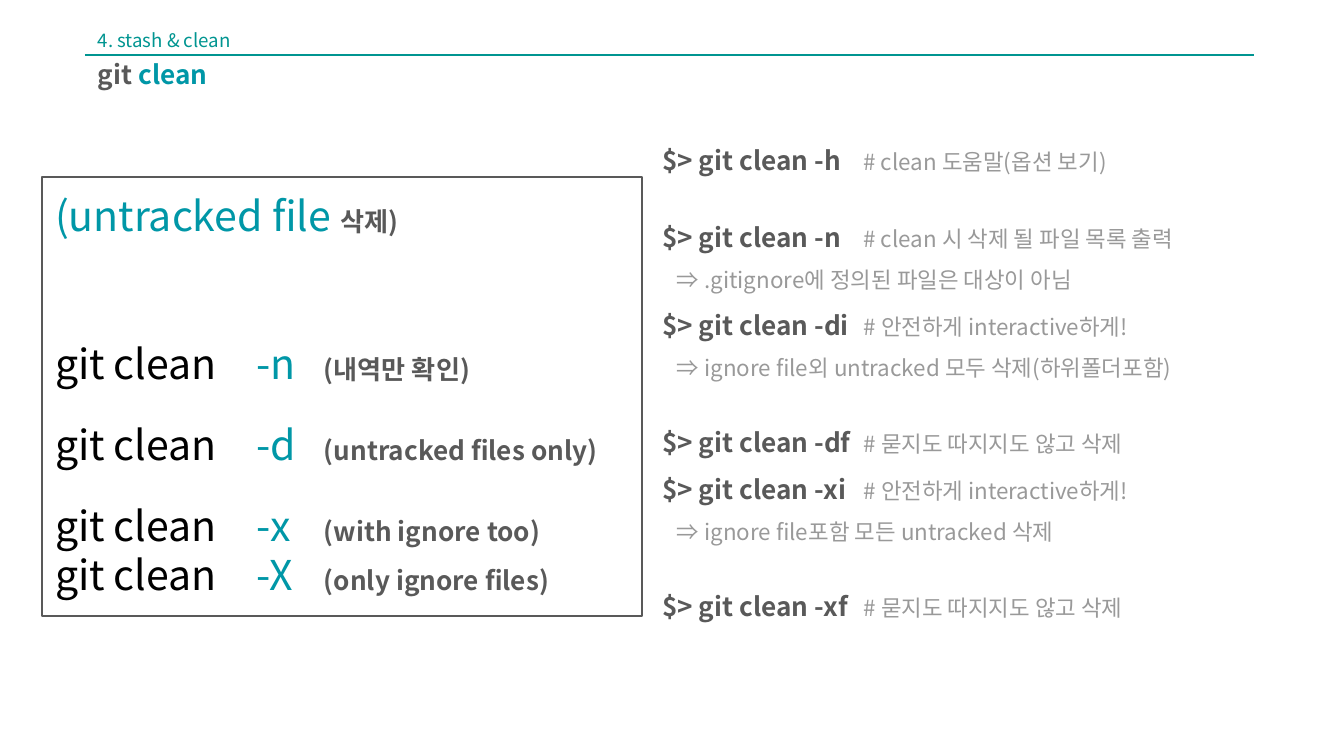
from dataclasses import dataclass
from pptx import Presentation
from pptx import util as u
from pptx.dml import color as c
from pptx.enum import shapes, text
from pptx.oxml import ns
from lxml import etree

PX = 914400 / 134.4


def px(*nums):
    return [u.Emu(round(n * PX)) for n in nums]


def put(obj, vals):
    for key, val in vals.items():
        setattr(obj, key, val)


def node(up, tag, **atts):
    return etree.SubElement(up, ns.qn(tag), {k: str(v) for k, v in atts.items()})


@dataclass
class Theme:
    face = "Noto Sans CJK KR"
    rule = "009591"
    styles = {
        "topic": (10, "009591", False),
        "head": (14, "595959", True),
        "key": (14, "0097A7", True),
        "code": (22, "000000", False),
        "flag": (22, "0097A7", False),
        "note": (12, "999999", False),
    }
    edge = "595959"
    thin = u.Pt(0.75)


class Deck:
    def __init__(self, theme):
        self.theme = theme
        self.prs = Presentation()
        put(self.prs, dict(zip(("slide_width", "slide_height"), px(1344, 756))))
        self.slide = self.prs.slides.add_slide(self.prs.slide_layouts[1])

    def stroke(self, line, tint):
        line.color.rgb = c.RGBColor.from_string(tint)
        line.width = self.theme.thin

    def place(self, shape, at):
        put(shape, dict(zip(("left", "top", "width", "height"), px(*at))))

    def fill(self, shape, rows, pad=7, space=1.0, tabs=()):
        frame = shape.text_frame
        side, edge = px(13, pad)
        put(frame, {
            "word_wrap": True, "auto_size": text.MSO_AUTO_SIZE.NONE,
            "vertical_anchor": text.MSO_ANCHOR.TOP,
            "margin_left": side, "margin_right": side,
            "margin_top": edge, "margin_bottom": edge,
        })
        for i, (gap, dent, runs) in enumerate(rows):
            para = frame.add_paragraph() if i else frame.paragraphs[0]
            prop = para._p.get_or_add_pPr()
            put_in = {"marL": px(dent)[0], "indent": 0}
            for key, val in put_in.items():
                prop.set(key, str(val))
            node(prop, "a:buNone")
            if tabs:
                stops = node(prop, "a:tabLst")
                for stop in px(*tabs):
                    node(stops, "a:tab", pos=stop, algn="l")
            put(para, {
                "alignment": text.PP_ALIGN.LEFT, "line_spacing": space,
                "space_before": u.Pt(gap), "space_after": u.Pt(0),
            })
            for style, words in runs:
                self.run(para, style, words)

    def run(self, para, style, words):
        size, tint, bold = self.theme.styles[style]
        run = para.add_run()
        run.text = words
        put(run.font, {"size": u.Pt(size), "bold": bold, "name": self.theme.face})
        run.font.color.rgb = c.RGBColor.from_string(tint)
        node(run.font._element, "a:ea", typeface=self.theme.face)

    def title(self, at, rows, **form):
        self.place(self.slide.shapes.title, at)
        self.fill(self.slide.shapes.title, rows, **form)

    def body(self, at, rows, **form):
        hold = self.slide.placeholders[1]
        self.place(hold, at)
        self.fill(hold, rows, **form)

    def label(self, at, rows, **form):
        self.fill(self.slide.shapes.add_textbox(*px(*at)), rows, **form)

    def box(self, at, rows, **form):
        box = self.slide.shapes.add_shape(shapes.MSO_SHAPE.RECTANGLE, *px(*at))
        box.shadow.inherit = False
        box.fill.background()
        self.stroke(box.line, self.theme.edge)
        self.fill(box, rows, **form)

    def line(self, *ends):
        line = self.slide.shapes.add_connector(shapes.MSO_CONNECTOR.STRAIGHT, *px(*ends))
        self.stroke(line.line, self.theme.rule)
        node(line._element.spPr, "a:effectLst")


def option(gap, flag, note):
    return gap, 0, [("code", "git clean\t"), ("flag", flag + "\t"), ("head", note)]


def usage(gap, flag, note):
    return gap, 0, [("head", f"$> git clean {flag}\t"), ("note", "# " + note)]


def hint(words):
    return 0, 15, [("note", "⇒ " + words)]


def main():
    deck = Deck(Theme())
    deck.box((42, 177, 600, 439), [
        (0, 0, [("flag", "(untracked file "), ("head", "삭제)")]),
        option(53, "-n", "(내역만 확인)"),
        option(17, "-d", "(untracked files only)"),
        option(17, "-x", "(with ignore too)"),
        option(0, "-X", "(only ignore files)"),
    ], pad=13, tabs=(180, 236))
    deck.body((649, 116, 665, 555), [
        usage(0, "-h", "clean 도움말(옵션 보기)"),
        usage(16, "-n", "clean 시 삭제 될 파일 목록 출력"),
        hint(".gitignore에 정의된 파일은 대상이 아님"),
        usage(0, "-di", "안전하게 interactive하게!"),
        hint("ignore file외 untracked 모두 삭제(하위폴더포함)"),
        usage(16, "-df", "묻지도 따지지도 않고 삭제"),
        usage(0, "-xi", "안전하게 interactive하게!"),
        hint("ignore file포함 모든 untracked 삭제"),
        usage(16, "-xf", "묻지도 따지지도 않고 삭제"),
    ], pad=13, space=1.5, tabs=(198,))
    deck.label((85, 24, 960, 32), [(0, 0, [("topic", "4. stash & clean")])], space=0.9)
    deck.title((85, 55, 960, 44), [(0, 0, [("head", "git "), ("key", "clean")])], space=0.9)
    deck.line(85, 55, 1254, 55)
    deck.prs.save("out.pptx")


if __name__ == "__main__":
    main()
